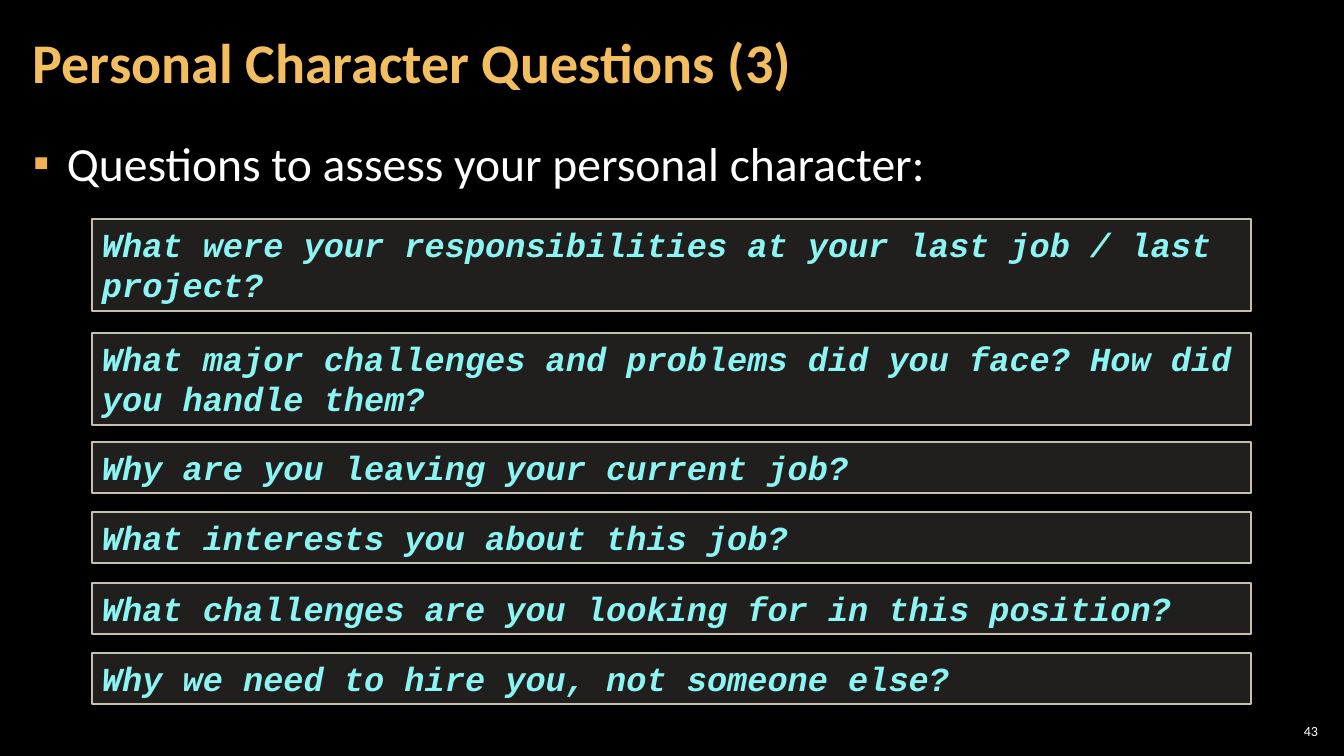
from lxml import etree
from pptx import Presentation
from pptx.dml.color import RGBColor
from pptx.enum.shapes import MSO_SHAPE
from pptx.enum.text import MSO_ANCHOR, MSO_AUTO_SIZE, PP_ALIGN
from pptx.oxml.ns import qn
from pptx.util import Emu, Pt

RECT = MSO_SHAPE.RECTANGLE
TOP, MIDDLE = MSO_ANCHOR.TOP, MSO_ANCHOR.MIDDLE
LEFT, RIGHT = PP_ALIGN.LEFT, PP_ALIGN.RIGHT
NO_FIT, GROW = MSO_AUTO_SIZE.NONE, MSO_AUTO_SIZE.SHAPE_TO_FIT_TEXT
SCALE = 914400 / 100.8

QUESTIONS = [
    (219, 92, "What were your responsibilities at your last job / last project?"),
    (333, 92, "What major challenges and problems did you face? How did you handle them?"),
    (442, 51, "Why are you leaving your current job?"),
    (512, 51, "What interests you about this job?"),
    (583, 51, "What challenges are you looking for in this position?"),
    (653, 51, "Why we need to hire you, not someone else?"),
]


def px(n):
    """Turn pixels into EMU."""
    return Emu(round(n * SCALE))


def rgb(color):
    """Turn a hex string into a colour."""
    return RGBColor.from_string(color)


def place(sp, x, y, w, h):
    """Move and size a shape."""
    sp.left, sp.top, sp.width, sp.height = px(x), px(y), px(w), px(h)


def write(sp, text, size, color, font="Calibri", bold=False, italic=False,
          align=LEFT, anchor=TOP, insets=(12, 4), fit=NO_FIT, spacing=1.0):
    """Fill a shape with one formatted paragraph and return it."""
    tf = sp.text_frame
    tf.word_wrap, tf.auto_size, tf.vertical_anchor = True, fit, anchor
    tf.margin_left = tf.margin_right = px(insets[0])
    tf.margin_top = tf.margin_bottom = px(insets[1])
    p = tf.paragraphs[0]
    p.alignment, p.line_spacing = align, spacing
    r = p.add_run()
    r.text = text
    r.font.name, r.font.size = font, Pt(size)
    r.font.bold, r.font.italic = bold, italic
    r.font.color.rgb = rgb(color)
    return p


def add_bullet(p, char, color, indent):
    """Give a paragraph a coloured bullet with a hanging indent."""
    pPr = p._p.get_or_add_pPr()
    pPr.set("marL", str(px(indent)))
    pPr.set("indent", str(-px(indent)))
    clr = etree.SubElement(pPr, qn("a:buClr"))
    etree.SubElement(clr, qn("a:srgbClr"), val=color)
    etree.SubElement(pPr, qn("a:buFont"), typeface="Arial")
    etree.SubElement(pPr, qn("a:buChar"), char=char)


def add_question(s, y, h, text):
    """Add a translucent framed box holding one question."""
    sp = s.shapes.add_shape(RECT, px(92), px(y), px(1159), px(h))
    sp.shadow.inherit = False
    sp.fill.solid()
    sp.fill.fore_color.rgb = rgb("D9D5C7")
    clr = sp.fill._xPr.find(qn("a:solidFill"))[0]
    etree.SubElement(clr, qn("a:alpha"), val="15000")
    sp.line.color.rgb = rgb("C7BFAC")
    sp.line.width = Pt(1)
    write(sp, text, 24, "8CF4F2", font="Courier New", bold=True, italic=True,
          insets=(10, 5), fit=GROW)


def main():
    """Build the slide and save it."""
    prs = Presentation()
    prs.slide_width, prs.slide_height = px(1344), px(756)
    s = prs.slides.add_slide(prs.slide_layouts[1])
    s.background.fill.solid()
    s.background.fill.fore_color.rgb = rgb("000000")

    title, body = s.placeholders
    place(title, 21, 4, 1055, 122)
    write(title, "Personal Character Questions (3)", 40, "F3BE60", bold=True,
          anchor=MIDDLE, spacing=0.9)
    place(body, 21, 127, 1301, 614)
    p = write(body, "Questions to assess your personal character:", 34, "FFFFFF",
              spacing=1.05)
    p.space_before = p.space_after = Pt(6)
    add_bullet(p, "▪", "F2B254", 34)

    for y, h, text in QUESTIONS:
        add_question(s, y, h, text)

    number = s.shapes.add_textbox(px(1275), px(720), px(47), px(21))
    write(number, "43", 10, "FFFFFF", align=RIGHT, anchor=MIDDLE, insets=(4, 4))
    prs.save("out.pptx")


if __name__ == "__main__":
    main()
